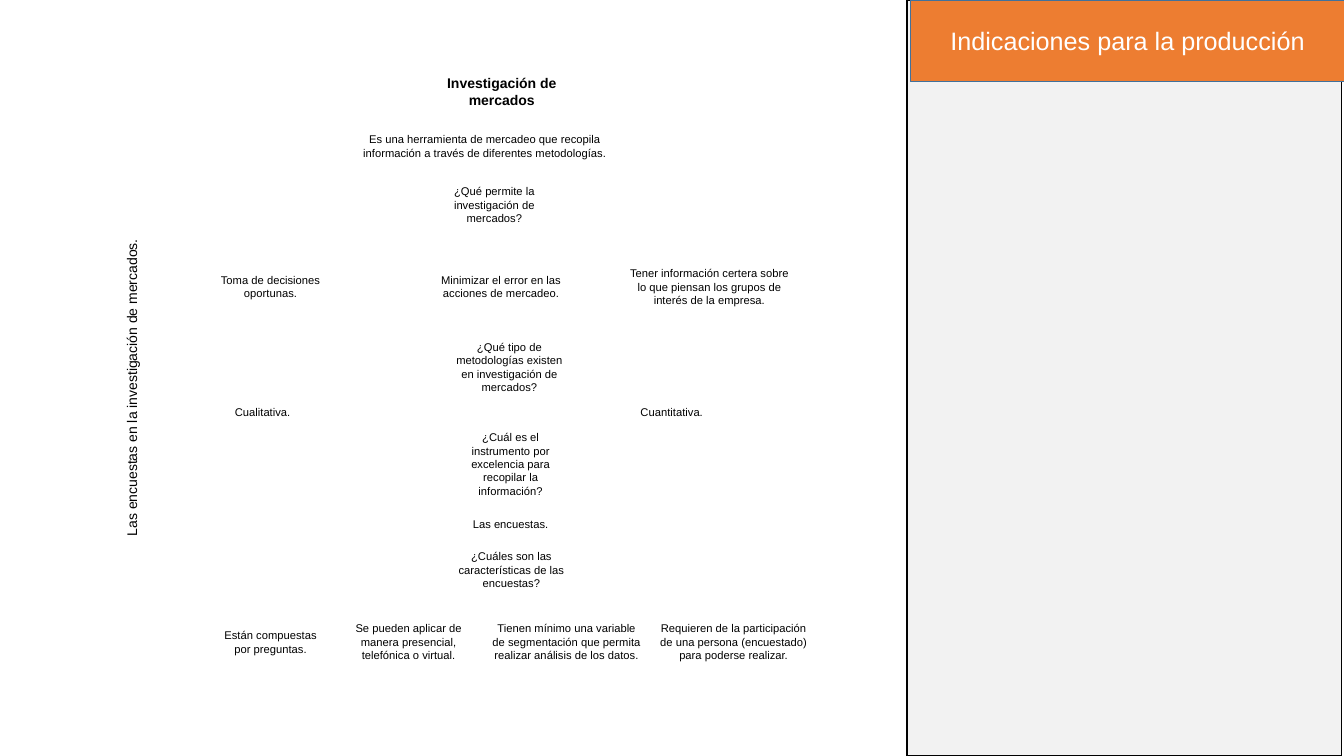
from pptx import Presentation
from pptx.dml.color import RGBColor
from pptx.enum.shapes import MSO_SHAPE as Preset
from pptx.enum.text import MSO_ANCHOR as Anchor, MSO_AUTO_SIZE as AutoSize, PP_ALIGN as Align
from pptx.util import Cm, Pt

FONT = "Arial"
COLORS = {"panel": "F2F2F2", "banner": "ED7D31", "banner_line": "42719B",
          "black": "000000", "white": "FFFFFF"}
SLIDE_WIDTH, SLIDE_HEIGHT = 33.87, 19.05
PANEL_WIDTH, BANNER_HEIGHT = 10.95, 2.06
PANEL_LEFT, BANNER_LEFT = 22.86, 22.94
BANNER_TEXT = "Indicaciones para la producción"

LINE_PER_POINT, BOX_PADDING = 0.043, 0.27
TITLE_SIZE, BODY_SIZE = 10, 8

# Centimetres: left, width, vertical middle, number of lines, text
TITLE = (10.92, 3.45, 2.31, 2, "Investigación de mercados")
SIDE_TITLE = (-1.42, 9.5, 9.77, 1, "Las encuestas en la investigación de mercados.")

# Each row: vertical middle, then (left, width, number of lines, text) for each box
ROWS = [
    (3.7, [(8.31, 7.82, 2, "Es una herramienta de mercadeo que recopila información "
                           "a través de diferentes metodologías.")]),
    (5.18, [(10.57, 3.78, 3, "¿Qué permite la investigación de mercados?")]),
    (7.24, [(4.93, 3.78, 2, "Toma de decisiones oportunas."),
            (10.74, 3.78, 2, "Minimizar el error en las acciones de mercadeo."),
            (15.49, 4.78, 3, "Tener información certera sobre lo que piensan los grupos "
                             "de interés de la empresa.")]),
    (9.27, [(11.15, 3.38, 4, "¿Qué tipo de metodologías existen en investigación de mercados?")]),
    (10.39, [(4.93, 3.38, 1, "Cualitativa."),
             (15.24, 3.38, 1, "Cuantitativa.")]),
    (11.72, [(11.18, 3.38, 5, "¿Cuál es el instrumento por excelencia para recopilar "
                              "la información?")]),
    (13.23, [(11.18, 3.38, 1, "Las encuestas.")]),
    (14.38, [(11.3, 3.18, 3, "¿Cuáles son las características de las encuestas?")]),
    (16.19, [(5.23, 3.18, 2, "Están compuestas por preguntas."),
             (8.51, 3.58, 3, "Se pueden aplicar de manera presencial, telefónica o virtual."),
             (12.12, 4.32, 3, "Tienen mínimo una variable de segmentación que permita "
                              "realizar análisis de los datos."),
             (16.33, 4.32, 3, "Requieren de la participación de una persona (encuestado) "
                              "para poderse realizar.")]),
]


def color(name):
    return RGBColor.from_string(COLORS[name])


def write_text(shape, text, size, color_name, bold=False):
    shape.text_frame.word_wrap = True
    paragraph = shape.text_frame.paragraphs[0]
    paragraph.text = text
    paragraph.alignment = Align.CENTER
    font = paragraph.font
    font.name, font.size, font.bold = FONT, Pt(size), bold
    font.color.rgb = color(color_name)


def add_rectangle(slide, left, height, fill, line):
    shape = slide.shapes.add_shape(Preset.RECTANGLE, Cm(left), 0, Cm(PANEL_WIDTH), Cm(height))
    shape.shadow.inherit = False
    shape.fill.solid()
    shape.fill.fore_color.rgb = color(fill)
    shape.line.color.rgb = color(line)
    shape.line.width = Pt(1)
    return shape


def add_label(slide, left, width, middle, lines, text, size=BODY_SIZE, bold=False):
    """Add a text box centred on a height, as tall as its lines need."""
    height = lines * size * LINE_PER_POINT + BOX_PADDING
    label = slide.shapes.add_textbox(Cm(left), Cm(middle - height / 2), Cm(width), Cm(height))
    write_text(label, text, size, "black", bold)
    label.text_frame.auto_size = AutoSize.SHAPE_TO_FIT_TEXT
    return label


def main():
    presentation = Presentation()
    presentation.slide_width, presentation.slide_height = Cm(SLIDE_WIDTH), Cm(SLIDE_HEIGHT)
    slide = presentation.slides.add_slide(presentation.slide_layouts[6])

    add_rectangle(slide, PANEL_LEFT, SLIDE_HEIGHT, "panel", "black")
    banner = add_rectangle(slide, BANNER_LEFT, BANNER_HEIGHT, "banner", "banner_line")
    write_text(banner, BANNER_TEXT, 18, "white")
    banner.text_frame.vertical_anchor = Anchor.MIDDLE

    add_label(slide, *TITLE, size=TITLE_SIZE, bold=True)
    for middle, boxes in ROWS:
        for left, width, lines, text in boxes:
            add_label(slide, left, width, middle, lines, text)
    add_label(slide, *SIDE_TITLE, size=TITLE_SIZE).rotation = 270

    presentation.save("out.pptx")


if __name__ == "__main__":
    main()
